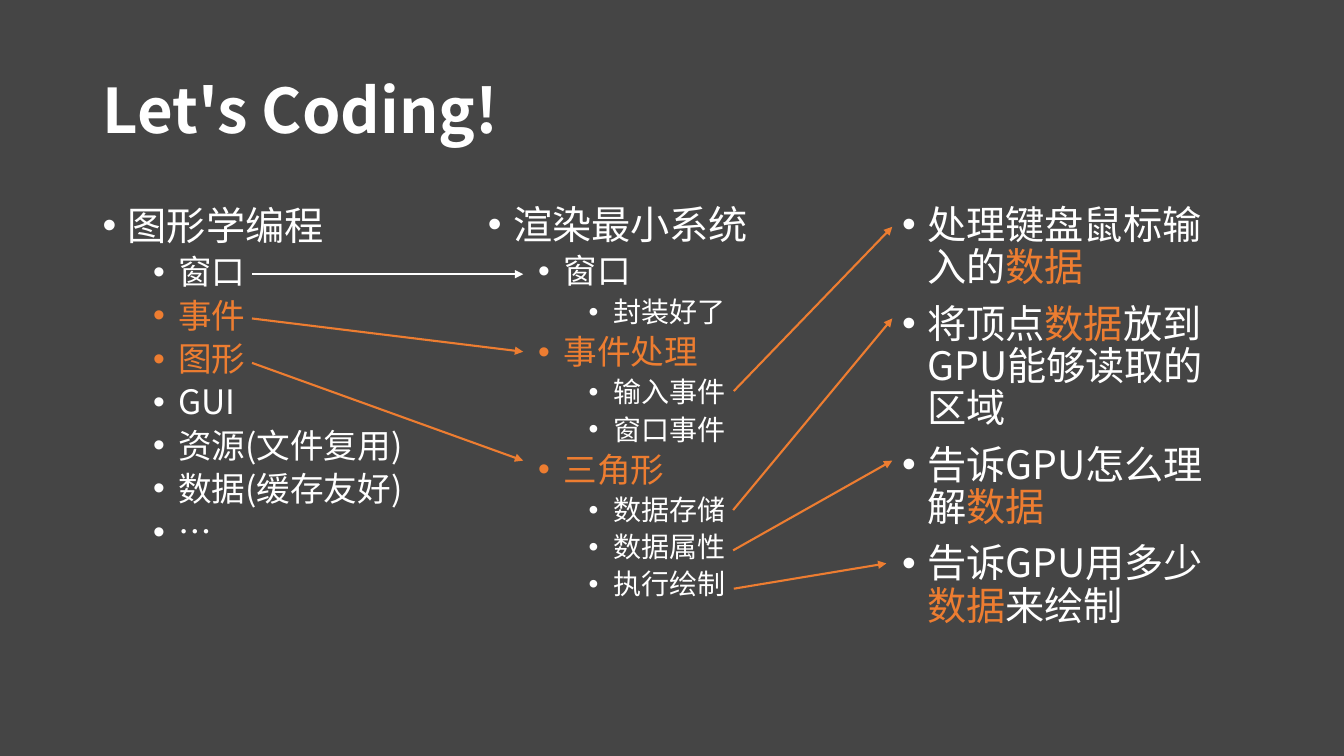
"""Build the slide that links graphics topics to a minimal rendering system."""
from pptx import Presentation
from pptx.dml.color import RGBColor
from pptx.enum.shapes import MSO_CONNECTOR
from pptx.enum.text import MSO_ANCHOR, MSO_AUTO_SIZE, PP_ALIGN
from pptx.oxml.ns import qn
from pptx.util import Inches, Pt

STRAIGHT = MSO_CONNECTOR.STRAIGHT
TOP, MIDDLE = MSO_ANCHOR.TOP, MSO_ANCHOR.MIDDLE
NO_AUTOFIT = MSO_AUTO_SIZE.NONE
LEFT = PP_ALIGN.LEFT
SLIDE_WIDTH, SLIDE_HEIGHT = Inches(13.33), Inches(7.5)
FONT = "Noto Sans CJK SC"
COLORS = {"background": "454545", "text": "FFFFFF", "accent": "ED7D31"}
LEVEL_SIZES = (28, 24, 20)
LEVEL_SPACES = (10, 5, 5)
TITLE_AREA = (6.9, 5.33, 86.25, 19.33)

# Each entry is a level and its text; every second part between bars is accented.
LISTS = (
    ((6.9, 26.67, 39.83, 63.47), (
        (0, "图形学编程"), (1, "窗口"), (1, "|事件"), (1, "|图形"), (1, "GUI"),
        (1, "资源(文件复用)"), (1, "数据(缓存友好)"), (1, "…"))),
    ((35.56, 26.53, 24.46, 63.47), (
        (0, "渲染最小系统"), (1, "窗口"), (2, "封装好了"),
        (1, "|事件处理"), (2, "输入事件"), (2, "窗口事件"),
        (1, "|三角形"), (2, "数据存储"), (2, "数据属性"), (2, "执行绘制"))),
    ((66.39, 26.53, 24.46, 63.47), (
        (0, "处理键盘鼠标输入的|数据"), (0, "将顶点|数据|放到GPU能够读取的区域"),
        (0, "告诉GPU怎么理解|数据"), (0, "告诉GPU用多少|数据|来绘制"))),
)
ARROWS = (
    ("text", (18.75, 36.27), (38.93, 36.27)),
    ("accent", (18.75, 42.13), (38.93, 46.53)),
    ("accent", (18.75, 48), (38.93, 60.93)),
    ("accent", (54.6, 51.73), (66.39, 30)),
    ("accent", (54.55, 67.47), (66.39, 42.13)),
    ("accent", (54.55, 72.8), (66.39, 60.93)),
    ("accent", (54.6, 77.87), (65.95, 74.53)),
)


def to_lengths(shares):
    """Turn alternating width and height percentages into lengths."""
    sides = (SLIDE_WIDTH, SLIDE_HEIGHT) * 2
    return [round(side * share / 100) for side, share in zip(sides, shares)]


def set_attributes(target, values):
    """Set each named attribute of the target."""
    for name, value in values.items():
        setattr(target, name, value)


def add_child(parent, tag, **attributes):
    """Append an XML element with the given attributes."""
    child = parent.makeelement(qn(tag), attributes)
    parent.append(child)


def add_run(paragraph, text, size, color, bold=False):
    """Add one formatted run in the slide's font."""
    run = paragraph.add_run()
    run.text = text
    set_attributes(run.font, {"size": Pt(size), "bold": bold, "name": FONT})
    run.font.color.rgb = RGBColor.from_string(COLORS[color])
    add_child(run.font._element, "a:ea", typeface=FONT)


def add_title(slide, text):
    """Place and format the title placeholder."""
    title = slide.shapes.title
    names = ("left", "top", "width", "height")
    set_attributes(title, dict(zip(names, to_lengths(TITLE_AREA))))
    set_attributes(title.text_frame, {
        "vertical_anchor": MIDDLE, "word_wrap": True, "auto_size": NO_AUTOFIT})
    paragraph = title.text_frame.paragraphs[0]
    set_attributes(paragraph, {"alignment": LEFT, "line_spacing": 0.9})
    add_run(paragraph, text, 44, "text", bold=True)


def format_bullet(paragraph, level, is_first):
    """Give a paragraph its level, spacing, indent and bullet."""
    space = 0 if is_first else LEVEL_SPACES[level]
    set_attributes(paragraph, {
        "level": level, "line_spacing": 0.9, "space_before": Pt(space),
        "alignment": LEFT})
    properties = paragraph._p.get_or_add_pPr()
    properties.set("marL", str(Inches(0.25 + 0.5 * level)))
    properties.set("indent", str(Inches(-0.25)))
    add_child(properties, "a:buFont", typeface="Arial")
    add_child(properties, "a:buChar", char="•")


def add_list(slide, area, items):
    """Add a text box holding a bulleted outline."""
    frame = slide.shapes.add_textbox(*to_lengths(area)).text_frame
    set_attributes(frame, {
        "word_wrap": True, "vertical_anchor": TOP, "auto_size": NO_AUTOFIT})
    for index, (level, text) in enumerate(items):
        paragraph = frame.add_paragraph() if index else frame.paragraphs[0]
        format_bullet(paragraph, level, index == 0)
        for part_index, part in enumerate(text.split("|")):
            if part:
                color = "accent" if part_index % 2 else "text"
                add_run(paragraph, part, LEVEL_SIZES[level], color)


def add_arrow(slide, color, start, end):
    """Add a straight arrow between two points."""
    arrow = slide.shapes.add_connector(STRAIGHT, *to_lengths(start + end))
    arrow.line.width = Pt(1.5)
    arrow.line.color.rgb = RGBColor.from_string(COLORS[color])
    add_child(arrow.line._get_or_add_ln(), "a:tailEnd", type="triangle")
    add_child(arrow._element.spPr, "a:effectLst")


def main():
    """Build and save the presentation."""
    presentation = Presentation()
    set_attributes(presentation, {
        "slide_width": SLIDE_WIDTH, "slide_height": SLIDE_HEIGHT})
    slide = presentation.slides.add_slide(presentation.slide_layouts[5])
    fill = slide.background.fill
    fill.solid()
    fill.fore_color.rgb = RGBColor.from_string(COLORS["background"])
    add_title(slide, "Let's Coding!")
    for area, items in LISTS:
        add_list(slide, area, items)
    for color, start, end in ARROWS:
        add_arrow(slide, color, start, end)
    presentation.save("out.pptx")


if __name__ == "__main__":
    main()
